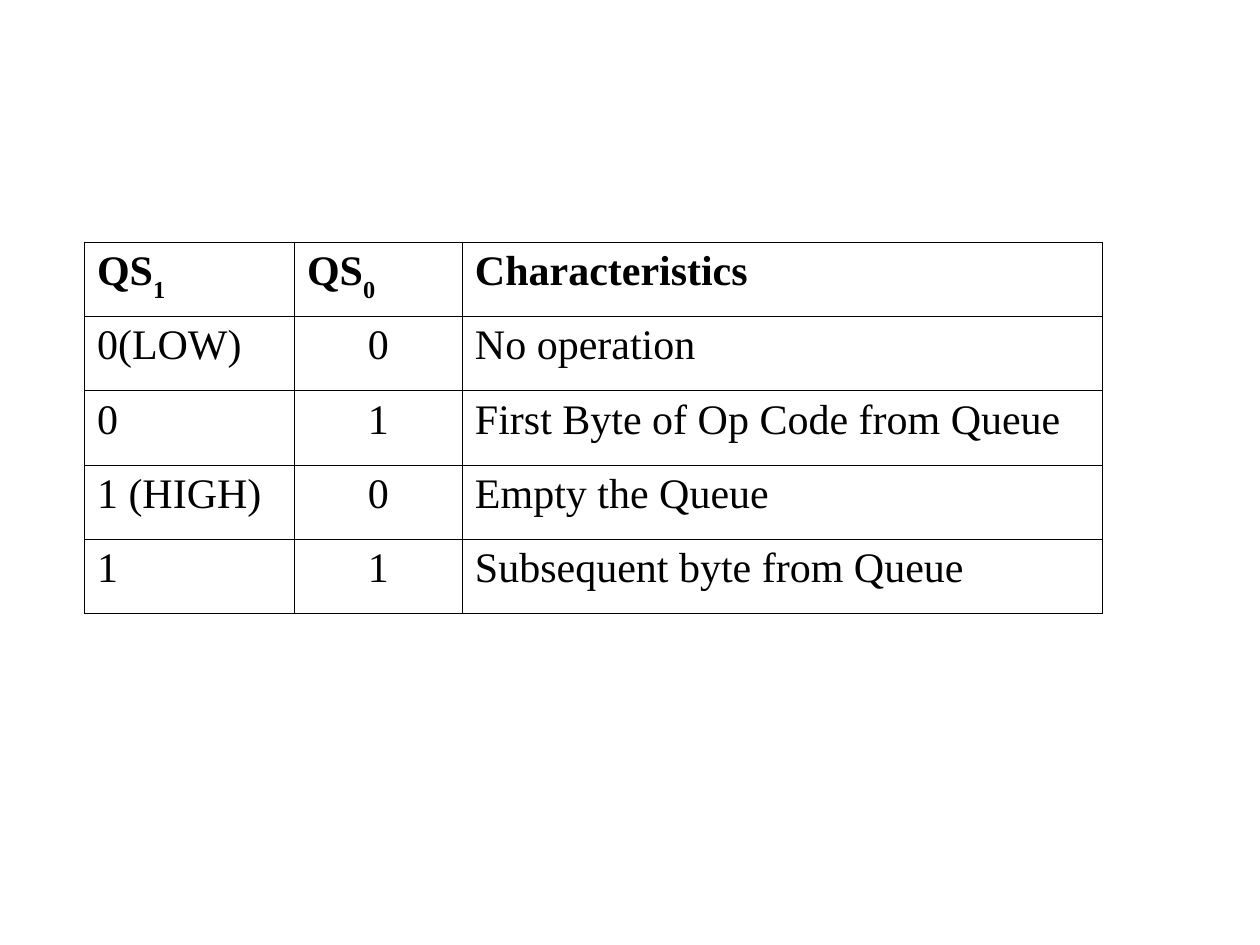
from dataclasses import dataclass

from lxml.etree import SubElement
from pptx import Presentation
from pptx.dml.color import RGBColor
from pptx.enum.text import PP_ALIGN
from pptx.oxml.ns import qn
from pptx.table import _Cell
from pptx.util import Pt


@dataclass(frozen=True)
class Theme:
    font: str = "Times New Roman"
    text_size: float = 24
    ink: str = "000000"
    border_width: float = 0.45
    hanging_indent: float = 27
    subscript_offset: int = -30000


@dataclass(frozen=True)
class Entry:
    text: str
    subscript: str = ""
    bold: bool = False
    centred: bool = False


@dataclass(frozen=True)
class QueueStatus:
    qs1: str
    qs0: str
    characteristics: str

    def entries(self) -> list[Entry]:
        return [Entry(self.qs1), Entry(self.qs0, centred=True), Entry(self.characteristics)]


THEME = Theme()
LEFT, TOP = 48.24, 138.24
COLUMN_WIDTHS = (120, 96, 365.76)
ROW_HEIGHT = 42.48

HEADINGS = [
    Entry("QS", subscript="1", bold=True),
    Entry("QS", subscript="0", bold=True),
    Entry("Characteristics", bold=True),
]
STATUSES = [
    QueueStatus("0(LOW)", "0", "No operation"),
    QueueStatus("0", "1", "First Byte of Op Code from Queue"),
    QueueStatus("1 (HIGH)", "0", "Empty the Queue"),
    QueueStatus("1", "1", "Subsequent byte from Queue"),
]


def draw_borders(cell: _Cell) -> None:
    properties = cell._tc.get_or_add_tcPr()
    for side in ("a:lnL", "a:lnR", "a:lnT", "a:lnB"):
        border = SubElement(properties, qn(side), w=str(Pt(THEME.border_width)))
        fill = SubElement(border, qn("a:solidFill"))
        SubElement(fill, qn("a:srgbClr"), val=THEME.ink)


def write_entry(cell: _Cell, entry: Entry) -> None:
    cell.text_frame.text = entry.text
    paragraph = cell.text_frame.paragraphs[0]
    paragraph.alignment = PP_ALIGN.CENTER if entry.centred else PP_ALIGN.LEFT
    indent = Pt(THEME.hanging_indent)
    properties = paragraph._p.get_or_add_pPr()
    properties.set("marL", str(indent))
    properties.set("indent", str(-indent))

    if entry.subscript:
        subscript = paragraph.add_run()
        subscript.text = entry.subscript
        subscript._r.get_or_add_rPr().set("baseline", str(THEME.subscript_offset))
    for run in paragraph.runs:
        run.font.name = THEME.font
        run.font.size = Pt(THEME.text_size)
        run.font.bold = entry.bold
        run.font.color.rgb = RGBColor.from_string(THEME.ink)


def main() -> None:
    presentation = Presentation()
    presentation.slide_width, presentation.slide_height = Pt(720), Pt(540)
    slide = presentation.slides.add_slide(presentation.slide_layouts[6])

    rows = [HEADINGS] + [status.entries() for status in STATUSES]
    status_table = slide.shapes.add_table(
        len(rows), len(COLUMN_WIDTHS), Pt(LEFT), Pt(TOP),
        Pt(sum(COLUMN_WIDTHS)), Pt(ROW_HEIGHT * len(rows)),
    ).table
    status_table.first_row = False
    status_table.horz_banding = False
    for column, width in zip(status_table.columns, COLUMN_WIDTHS):
        column.width = Pt(width)

    for table_row, entries in zip(status_table.rows, rows):
        table_row.height = Pt(ROW_HEIGHT)
        for cell, entry in zip(table_row.cells, entries):
            draw_borders(cell)
            cell.fill.background()
            write_entry(cell, entry)

    presentation.save("out.pptx")


if __name__ == "__main__":
    main()
